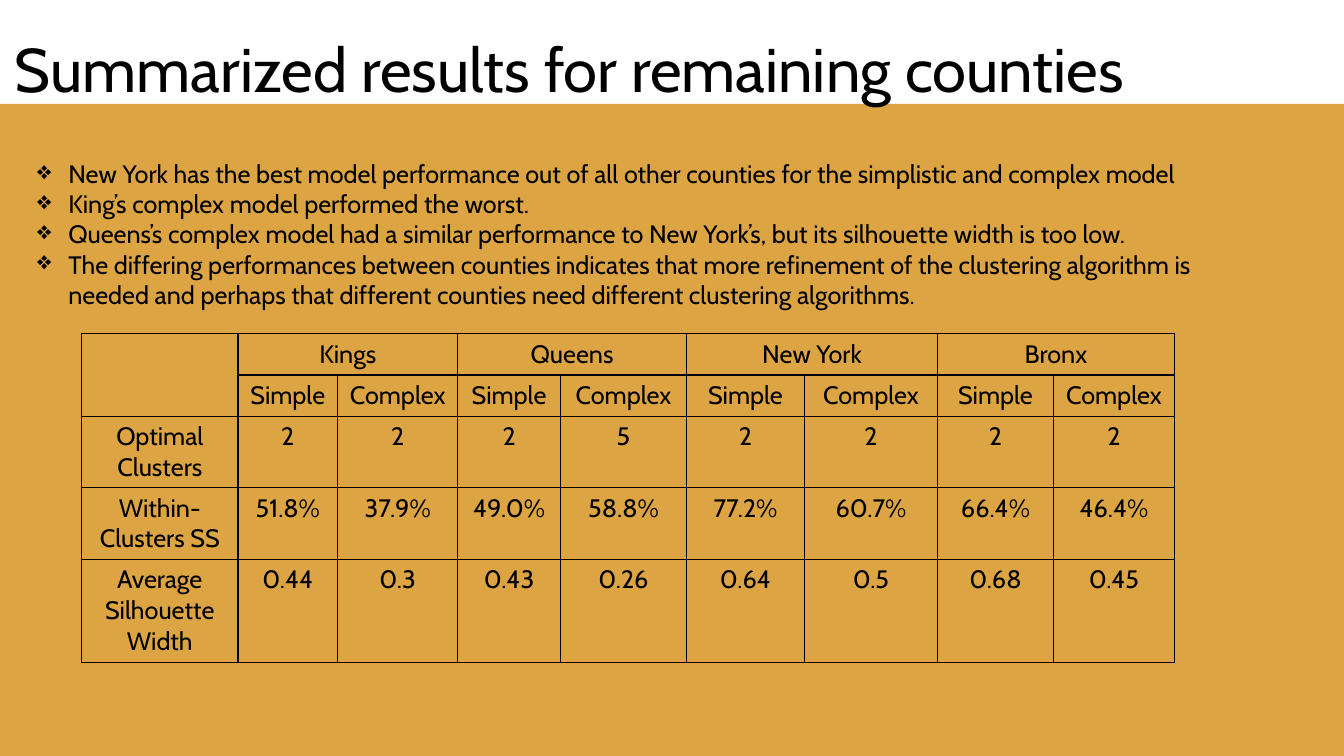
from dataclasses import dataclass

from lxml import etree
from pptx import Presentation
from pptx.dml.color import RGBColor
from pptx.enum.shapes import MSO_SHAPE
from pptx.enum.text import MSO_ANCHOR, PP_ALIGN
from pptx.oxml.ns import qn
from pptx.util import Inches, Pt


@dataclass(frozen=True)
class Theme:
    font: str = "Cabin"
    ink: str = "000000"
    panel: str = "D99728"
    panel_alpha: int = 87
    title_size: int = 44
    body_size: int = 18
    border_width: float = 1


@dataclass(frozen=True)
class County:
    name: str
    widths: tuple[float, float]
    simple: tuple[str, str, str]
    complex: tuple[str, str, str]


THEME = Theme()
BULLETS = [
    "New York has the best model performance out of all other counties for the simplistic and complex model",
    "King’s complex model performed the worst.",
    "Queens’s complex model had a similar performance to New York’s, but its silhouette width is too low.",
    "The differing performances between counties indicates that more refinement of the clustering algorithm is "
    "needed and perhaps that different counties need different clustering algorithms.",
]
MEASURES = ["Optimal Clusters", "Within-Clusters SS", "Average Silhouette Width"]
COUNTIES = [
    County("Kings", (0.99, 1.19), ("2", "51.8%", "0.44"), ("2", "37.9%", "0.3")),
    County("Queens", (1.02, 1.25), ("2", "49.0%", "0.43"), ("5", "58.8%", "0.26")),
    County("New York", (1.17, 1.32), ("2", "77.2%", "0.64"), ("2", "60.7%", "0.5")),
    County("Bronx", (1.15, 1.2), ("2", "66.4%", "0.68"), ("2", "46.4%", "0.45")),
]
LABEL_WIDTH = 1.55
ROW_HEIGHTS = [0.41, 0.41, 0.71, 0.71, 1.02]


def write(p, text: str, *, size: float = THEME.body_size, align=PP_ALIGN.LEFT,
          spacing: float = 1.0, bullet: str = "", indent: float = 0) -> None:
    """Fill one paragraph with formatted text."""
    if bullet:
        pPr = p._p.get_or_add_pPr()
        pPr.set("marL", str(Inches(indent)))
        pPr.set("indent", str(-Inches(indent)))
        etree.SubElement(pPr, qn("a:buChar")).set("char", bullet)
    p.alignment = align
    p.line_spacing = spacing
    r = p.add_run()
    r.text = text
    r.font.size = Pt(size)
    r.font.name = THEME.font
    r.font.color.rgb = RGBColor.from_string(THEME.ink)


def add_box(s, left: float, top: float, width: float, height: float, anchor=MSO_ANCHOR.TOP):
    """Add a wrapping text box and return its text frame."""
    sp = s.shapes.add_textbox(Inches(left), Inches(top), Inches(width), Inches(height))
    tf = sp.text_frame
    tf.word_wrap = True
    tf.vertical_anchor = anchor
    return tf


def add_panel(s) -> None:
    """Add the translucent panel below the title."""
    sp = s.shapes.add_shape(MSO_SHAPE.RECTANGLE, 0, Inches(1.03), Inches(13.33), Inches(6.47))
    sp.shadow.inherit = False
    sp.line.fill.background()
    sp.fill.solid()
    sp.fill.fore_color.rgb = RGBColor.from_string(THEME.panel)
    color = sp._element.spPr.find(qn("a:solidFill"))[0]
    etree.SubElement(color, qn("a:alpha")).set("val", str(THEME.panel_alpha * 1000))


def outline(cell) -> None:
    """Clear the cell's fill and draw its four borders."""
    cell.fill.background()
    tcPr = cell._tc.get_or_add_tcPr()
    for i, side in enumerate(("lnL", "lnR", "lnT", "lnB")):
        ln = etree.Element(qn(f"a:{side}"), w=str(Pt(THEME.border_width)))
        fill = etree.SubElement(ln, qn("a:solidFill"))
        etree.SubElement(fill, qn("a:srgbClr")).set("val", THEME.ink)
        tcPr.insert(i, ln)


def add_results(s) -> None:
    """Add the table of county results."""
    widths = [LABEL_WIDTH] + [w for county in COUNTIES for w in county.widths]
    table = s.shapes.add_table(len(ROW_HEIGHTS), len(widths), Inches(0.81), Inches(3.31),
                               Inches(sum(widths)), Inches(sum(ROW_HEIGHTS))).table
    table.first_row = table.horz_banding = False
    for column, width in zip(table.columns, widths):
        column.width = Inches(width)
    for row, height in zip(table.rows, ROW_HEIGHTS):
        row.height = Inches(height)
    for cell in table.iter_cells():
        outline(cell)

    def put(row: int, col: int, text: str) -> None:
        write(table.cell(row, col).text_frame.paragraphs[0], text, align=PP_ALIGN.CENTER)

    # Row labels under the empty corner
    table.cell(0, 0).merge(table.cell(1, 0))
    for row, measure in enumerate(MEASURES, 2):
        put(row, 0, measure)

    # Two model columns for each county
    for i, county in enumerate(COUNTIES):
        first = 1 + 2 * i
        table.cell(0, first).merge(table.cell(0, first + 1))
        put(0, first, county.name)
        models = (("Simple", *county.simple), ("Complex", *county.complex))
        for col, model in enumerate(models, first):
            for row, text in enumerate(model, 1):
                put(row, col, text)


def main() -> None:
    prs = Presentation()
    prs.slide_width, prs.slide_height = Inches(13.33), Inches(7.5)
    s = prs.slides.add_slide(prs.slide_layouts[6])

    add_panel(s)

    # Title
    tf = add_box(s, 0.05, 0.24, 11.5, 0.96, MSO_ANCHOR.MIDDLE)
    write(tf.paragraphs[0], "Summarized results for remaining counties",
          size=THEME.title_size, spacing=0.9)

    add_results(s)

    # Findings
    tf = add_box(s, 0.27, 1.52, 12.24, 1.62)
    for i, text in enumerate(BULLETS):
        p = tf.add_paragraph() if i else tf.paragraphs[0]
        write(p, text, bullet="❖", indent=0.31)

    prs.save("out.pptx")


if __name__ == "__main__":
    main()
